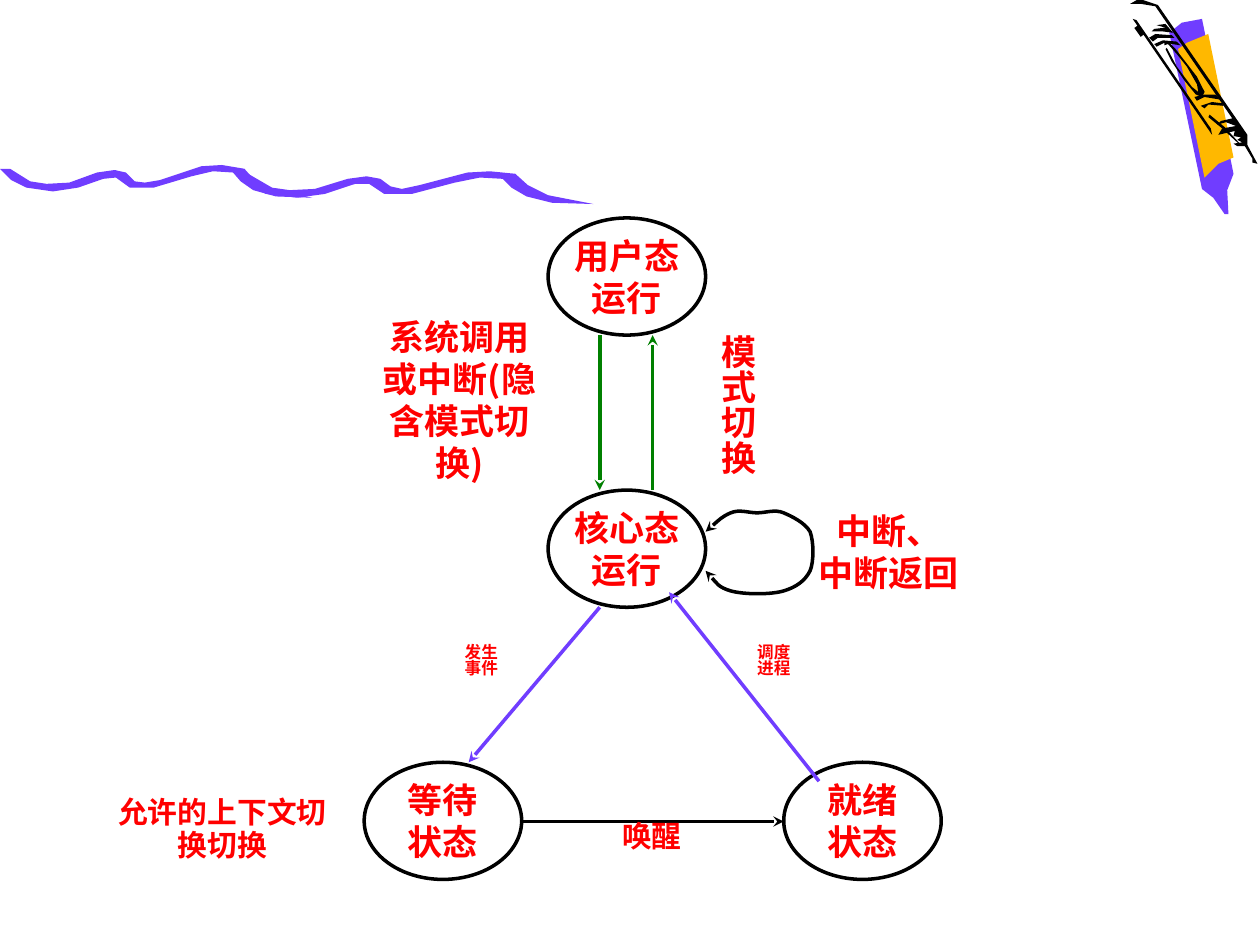
from pptx import Presentation
from pptx.dml.color import RGBColor as RGB
from pptx.enum.shapes import MSO_CONNECTOR as Conn, MSO_SHAPE as Kind
from pptx.enum.text import MSO_ANCHOR as Anchor, PP_ALIGN as Align
from pptx.oxml.ns import qn
from pptx.util import Inches, Pt
from lxml.etree import SubElement as Sub


class Theme:
    font = "Noto Sans CJK SC"
    red, black, green = "FF0000", "000000", "008000"
    violet, gold = "703DFF", "FFB800"
    big, mid, small = 20, 17, 9.5
    pitch = 1.2
    line, thick = 2, 3


def write(frame, text, size=Theme.big, align=Align.CENTER, lead=1.0,
          anchor=Anchor.TOP, vert=None):
    """Fill a text frame, one paragraph for each line of text."""
    frame.word_wrap = True
    frame.vertical_anchor = anchor
    frame.margin_left = frame.margin_right = 0
    frame.margin_top = frame.margin_bottom = 0
    if vert:
        frame._txBody.bodyPr.set("vert", vert)
    for i, row in enumerate(text.split("\n")):
        para = frame.add_paragraph() if i else frame.paragraphs[0]
        para.alignment = align
        para.line_spacing = Pt(round(size * Theme.pitch * lead, 1))
        run = para.add_run()
        run.text = row
        font = run.font
        font.size, font.bold, font.name = Pt(size), True, Theme.font
        font.color.rgb = RGB.from_string(Theme.red)
        Sub(font._element, qn("a:ea")).set("typeface", Theme.font)


class Board:
    def __init__(self, slide, theme):
        self.slide, self.theme = slide, theme
        self.shapes = slide.shapes

    def stroke(self, shape, color, width, ends=()):
        shape.line.color.rgb = RGB.from_string(color)
        shape.line.width = Pt(width)
        for end in ends:
            Sub(shape.line._get_or_add_ln(), qn(f"a:{end}")).set("type", "stealth")

    def outline(self, pts, close):
        pts = [(Inches(x), Inches(y)) for x, y in pts]
        pen = self.shapes.build_freeform(*pts[0], scale=1.0)
        pen.add_line_segments(pts[1:], close=close)
        shape = pen.convert_to_shape()
        shape.shadow.inherit = False
        return shape

    def patch(self, color, text):
        """Filled outline from a list of 'x,y' pairs."""
        pts = [tuple(map(float, pair.split(","))) for pair in text.split()]
        shape = self.outline(pts, True)
        shape.fill.solid()
        shape.fill.fore_color.rgb = RGB.from_string(color)
        shape.line.fill.background()

    def curve(self, pts, color):
        """Open Bezier line: a start, then three points for each piece."""
        shape = self.outline(pts, False)
        shape.fill.background()
        self.stroke(shape, color, self.theme.line, ("headEnd", "tailEnd"))
        steps = list(shape._element.iter(qn("a:lnTo")))
        track = steps[0].getparent()
        for i in range(0, len(steps), 3):
            bend = Sub(track, qn("a:cubicBezTo"))
            for step in steps[i:i + 3]:
                bend.append(step[0])
                track.remove(step)

    def line(self, start, end, color, width=Theme.line, ends=("tailEnd",)):
        ends_at = [Inches(v) for v in (*start, *end)]
        link = self.shapes.add_connector(Conn.STRAIGHT, *ends_at)
        self.stroke(link, color, width, ends)
        Sub(link._element.spPr, qn("a:effectLst"))

    def state(self, x, y, text):
        oval = self.shapes.add_shape(Kind.OVAL, *map(Inches, (x, y, 1.25, 0.93)))
        oval.shadow.inherit = False
        oval.fill.background()
        self.stroke(oval, self.theme.black, self.theme.line)
        write(oval.text_frame, text, anchor=Anchor.MIDDLE)

    def label(self, x, y, w, h, text, **form):
        box = self.shapes.add_textbox(*map(Inches, (x, y, w, h)))
        write(box.text_frame, text, **form)


# Crayon body and band, then the two waves
DECOR = [
    (Theme.violet, "9.28,.26 9.54,1.5 9.63,1.57 9.72,1.7 9.75,1.7 9.74,1.51 "
                   "9.79,1.38 9.54,.15 9.38,.18"),
    (Theme.gold, "9.56,1.41 9.67,1.3 9.79,1.25 9.59,.27 9.42,.34 9.35,.39"),
    (Theme.violet, ".08,1.34 .24,1.44 .37,1.46 .55,1.45 .77,1.37 .91,1.35 1,1.37 "
                   "1.07,1.44 1.15,1.45 1.27,1.43 1.6,1.32 1.76,1.31 1.94,1.34 "
                   "2.02,1.43 2.16,1.5 2.48,1.57 2.19,1.56 2.01,1.51 1.91,1.44 "
                   "1.85,1.37 1.69,1.36 1.52,1.4 1.22,1.49 1.03,1.49 .92,1.41 "
                   ".82,1.42 .62,1.49 .42,1.52 .21,1.49 .09,1.43 0,1.34"),
    (Theme.violet, "1.97,1.38 2.16,1.49 2.3,1.51 2.5,1.5 2.76,1.42 2.91,1.4 "
                   "3.02,1.42 3.1,1.48 3.19,1.5 3.33,1.47 3.71,1.37 3.89,1.36 "
                   "4.09,1.38 4.19,1.47 4.35,1.55 4.71,1.62 4.38,1.61 4.18,1.56 "
                   "4.06,1.49 3.99,1.42 3.81,1.41 3.61,1.45 3.27,1.54 3.05,1.54 "
                   "2.93,1.46 2.82,1.46 2.58,1.54 2.36,1.57 2.11,1.54 1.98,1.47 "
                   "1.88,1.39"),
]
# Ink strokes over the crayon
INK = [
    "9.59,.93 9.7,1.02 9.84,1.15 9.84,1.14 9.72,1.01 9.6,.91",
    "9.14,.25 9.23,.25 9.31,.26 9.25,.19 9.18,.2 9.25,.22 9.16,.23",
    "9.25,.39 9.3,.49 9.4,.64 9.49,.75 9.54,.77 9.56,.73 9.5,.61 9.4,.48 9.33,.39 "
    "9.27,.33 9.24,.33 9.24,.36 9.27,.35 9.34,.43 9.42,.53 9.5,.67 9.51,.73 "
    "9.46,.69 9.34,.53 9.26,.38",
    "8.99,.15 9.62,1.07 9.61,1.02 9.02,.16",
    "9.67,1.07 9.7,1.02 9.81,1 9.73,.97 9.66,.99 9.69,.96 9.78,.94 9.17,.05 "
    "9.05,.03 8.97,.03 9.04,-.01 9.19,.04 9.9,1.07 9.9,1.15 9.98,1.3 9.94,1.29 "
    "9.94,1.26 9.88,1.16 9.82,1.16 9.79,1.14 9.86,1.13 9.82,1.11 9.85,1.09 "
    "9.79,1.08 9.8,1.04",
    "9.56,.86 9.59,.83 9.71,.84 9.7,.82 9.62,.81 9.53,.84",
    "9.5,.8 9.56,.77 9.68,.79 9.65,.75 9.56,.75 9.48,.77",
    "9.18,.37 9.24,.34 9.37,.36 9.34,.33 9.23,.32 9.16,.35",
    "9.15,.33 9.19,.3 9.32,.3 9.3,.28 9.17,.27 9.12,.3",
]
LOOP = [(5.6, 4.22), (5.67, 4.16), (5.73, 4.1), (5.8, 4.07),
        (5.87, 4.04), (5.94, 4.07), (6.01, 4.07),
        (6.08, 4.07), (6.15, 4.04), (6.22, 4.07),
        (6.29, 4.1), (6.39, 4.15), (6.43, 4.22),
        (6.46, 4.3), (6.46, 4.46), (6.43, 4.53),
        (6.39, 4.61), (6.32, 4.66), (6.22, 4.69),
        (6.12, 4.72), (5.91, 4.72), (5.8, 4.69),
        (5.7, 4.66), (5.63, 4.56), (5.6, 4.53)]


def main():
    deck = Presentation()
    deck.slide_width, deck.slide_height = Inches(10), Inches(7.5)
    look = Theme()
    board = Board(deck.slides.add_slide(deck.slide_layouts[6]), look)

    # Decoration
    for color, pts in DECOR + [(look.black, ink) for ink in INK]:
        board.patch(color, pts)
    board.line((9.02, 0.21), (9.07, 0.28), look.black, look.thick, ())

    # Process states
    for x, y, text in [(4.35, 3.89, "核心态\n运行"), (4.35, 1.73, "用户态\n运行"),
                       (2.89, 6.05, "等待\n状态"), (6.22, 6.05, "就绪\n状态")]:
        board.state(x, y, text)

    # Transitions
    for start, end, color in [((4.76, 2.66), (4.76, 3.89), look.green),
                              ((5.18, 3.89), (5.18, 2.66), look.green),
                              ((4.76, 4.82), (3.72, 6.05), look.violet),
                              ((6.5, 6.2), (5.31, 4.7), look.violet),
                              ((4.14, 6.52), (6.22, 6.52), look.black)]:
        board.line(start, end, color)
    board.curve(LOOP, look.black)

    # Labels
    board.label(2.95, 2.5, 1.39, 1.41, "系统调用或中断(隐含模式切换)")
    board.label(5.6, 2.66, 0.42, 1.23, "模式切换", vert="eaVert")
    board.label(6.43, 4.04, 1.25, 0.77, "中断、\n中断返回")
    tiny = dict(size=look.small, lead=0.8)
    board.label(3.3, 5.13, 1.04, 0.31, "发生\n事件", **tiny)
    board.label(6.01, 5.13, 1.04, 0.31, "调度\n进程", align=Align.JUSTIFY, **tiny)
    note = dict(size=look.mid, lead=0.9)
    board.label(4.76, 6.52, 0.83, 0.31, "唤醒", **note)
    board.label(0.92, 6.33, 1.69, 0.58, "允许的上下文切换切换", **note)

    deck.save("out.pptx")


if __name__ == "__main__":
    main()
